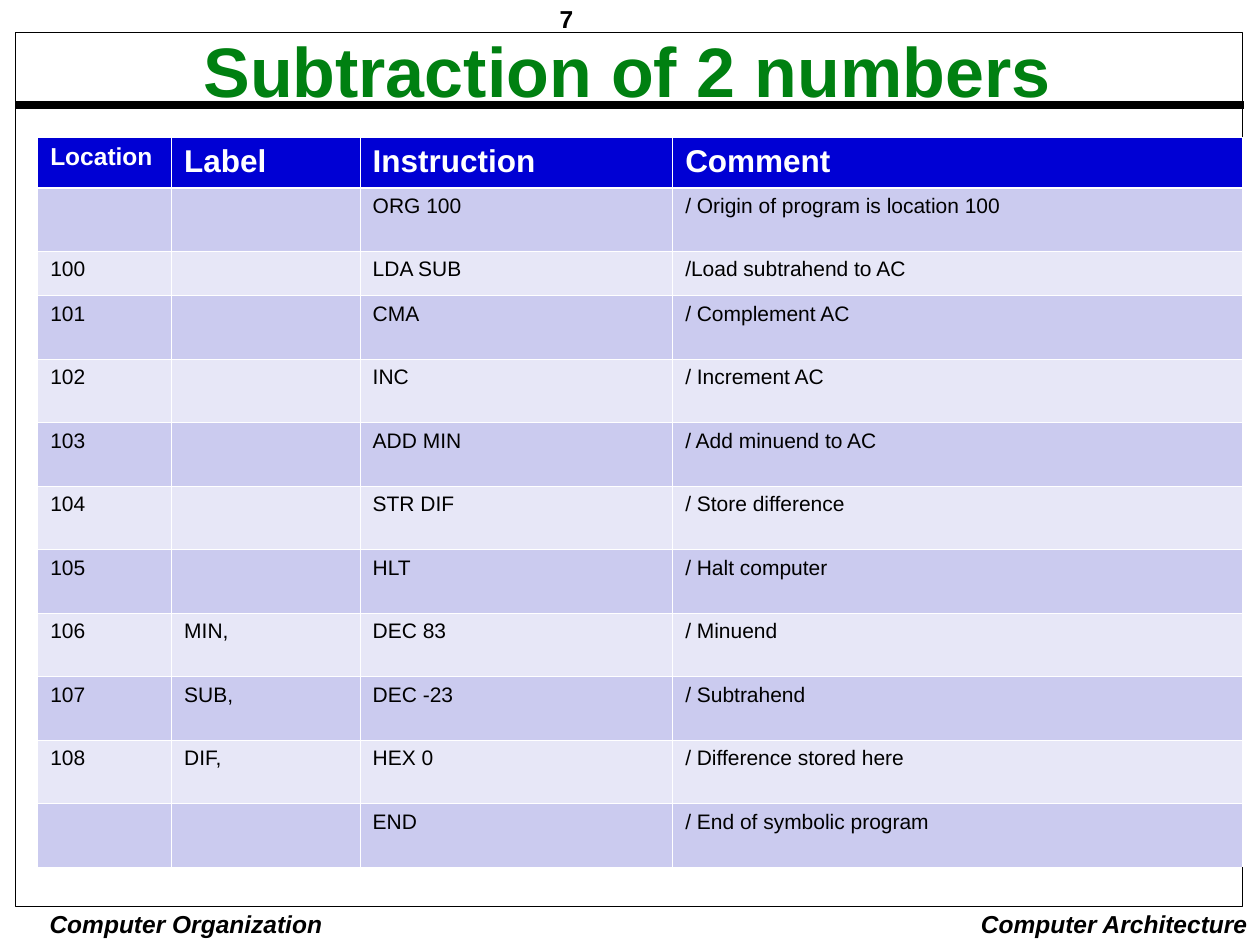
"""Build a slide that lists an assembly program for subtracting two numbers."""
import dataclasses

import lxml.etree
import pptx
import pptx.dml.color
import pptx.enum.shapes
import pptx.enum.text
import pptx.oxml.ns
import pptx.util

Cm = pptx.util.Cm
Pt = pptx.util.Pt
qn = pptx.oxml.ns.qn
ALIGN = pptx.enum.text.PP_ALIGN


@dataclasses.dataclass(frozen=True)
class Theme:
    font: str = "Arial"
    ink: str = "000000"
    title: str = "008011"
    header: str = "0000D4"
    grid: str = "FFFFFF"
    bands: tuple = ("CBCBEF", "E7E7F7")
    title_size: int = 40
    header_size: int = 18
    small_size: int = 14
    body_size: int = 12


theme = Theme()


def color(value):
    return pptx.dml.color.RGBColor.from_string(value)


def write(para, text, ink, **formats):
    span = para.add_run()
    span.text = text
    span.font.color.rgb = color(ink)
    for name, value in {"name": theme.font, **formats}.items():
        setattr(span.font, name, value)


deck = pptx.Presentation()
deck.slide_width, deck.slide_height = Cm(25.4), Cm(19.05)
page = deck.slides.add_slide(deck.slide_layouts[6])

rule = page.shapes.add_connector(
    pptx.enum.shapes.MSO_CONNECTOR.STRAIGHT, Cm(0.32), Cm(2.11), Cm(25.08), Cm(2.11))
rule.line.color.rgb = color(theme.ink)
rule.line.width = Pt(4.5)
lxml.etree.SubElement(rule._element.spPr, qn("a:effectLst"))

frame = page.shapes.add_shape(
    pptx.enum.shapes.MSO_SHAPE.RECTANGLE, Cm(0.32), Cm(0.66), Cm(24.73), Cm(17.62))
frame.shadow.inherit = False
frame.fill.background()
frame.line.color.rgb = color(theme.ink)
frame.line.width = Pt(0.5)

small = {"size": Pt(theme.small_size), "bold": True}
footer = {**small, "italic": True}
heading = {"size": Pt(theme.title_size), "bold": True}
texts = [
    ("7", (11.1, 0, 2.74, 0.74), (0.18, 0.08), True, ALIGN.LEFT, 1.01, theme.ink, small),
    ("Computer Organization", (0.6, 18.3, 6.3, 0.66), (0.08, 0.03), False,
     ALIGN.CENTER, 1.0, theme.ink, footer),
    ("Computer Architecture", (19.2, 18.2, 6.2, 0.84), (0.25, 0.13), False,
     ALIGN.RIGHT, 1.0, theme.ink, footer),
    ("Subtraction of 2 numbers", (0.41, 0.61, 24.46, 1.68), (0.25, 0.13), True,
     ALIGN.CENTER, 0.9, theme.title, heading),
]
for text, place, (side, edge), wrap, alignment, spacing, ink, formats in texts:
    box = page.shapes.add_textbox(*map(Cm, place))
    settings = {
        "word_wrap": wrap,
        "margin_left": Cm(side), "margin_right": Cm(side),
        "margin_top": Cm(edge), "margin_bottom": Cm(edge),
    }
    for name, value in settings.items():
        setattr(box.text_frame, name, value)
    para = box.text_frame.paragraphs[0]
    para.alignment = alignment
    para.line_spacing = spacing
    write(para, text, ink, **formats)

program = [
    ("Location", "Label", "Instruction", "Comment"),
    ("", "", "ORG 100", "/ Origin of program is location 100"),
    ("100", "", "LDA SUB", "/Load subtrahend to AC"),
    ("101", "", "CMA", "/ Complement AC"),
    ("102", "", "INC", "/ Increment AC"),
    ("103", "", "ADD MIN", "/ Add minuend to AC"),
    ("104", "", "STR DIF", "/ Store difference"),
    ("105", "", "HLT", "/ Halt computer"),
    ("106", "MIN,", "DEC 83", "/ Minuend"),
    ("107", "SUB,", "DEC -23", "/ Subtrahend"),
    ("108", "DIF,", "HEX 0", "/ Difference stored here"),
    ("", "", "END", "/ End of symbolic program"),
]
widths = [2.7, 3.8, 6.3, 11.48]
heights = [1.02, 1.28, 0.89] + [1.28] * 9
table = page.shapes.add_table(
    len(heights), len(widths), Cm(0.76), Cm(2.77), Cm(sum(widths)), Cm(sum(heights))).table
for column, width in zip(table.columns, widths):
    column.width = Cm(width)

for row_index, (row, height, entries) in enumerate(zip(table.rows, heights, program)):
    row.height = Cm(height)
    for column_index, (cell, text) in enumerate(zip(row.cells, entries)):
        properties = cell._tc.get_or_add_tcPr()
        for side in "LRTB":
            heavy = (row_index, side) in ((0, "B"), (1, "T"))
            border = lxml.etree.SubElement(
                properties, qn(f"a:ln{side}"), w=str(Pt(1.47 if heavy else 0.45)))
            fill = lxml.etree.SubElement(border, qn("a:solidFill"))
            lxml.etree.SubElement(fill, qn("a:srgbClr"), val=theme.grid)
        cell.fill.solid()
        para = cell.text_frame.paragraphs[0]
        if row_index == 0:
            cell.fill.fore_color.rgb = color(theme.header)
            size = theme.header_size if column_index else theme.small_size
            write(para, text, theme.grid, size=Pt(size), bold=True)
            continue
        cell.fill.fore_color.rgb = color(theme.bands[(row_index - 1) % 2])
        if text:
            write(para, text, theme.ink, size=Pt(theme.body_size), bold=False)
        else:
            lxml.etree.SubElement(
                para._p, qn("a:endParaRPr"), sz=str(theme.body_size * 100))

deck.save("out.pptx")
